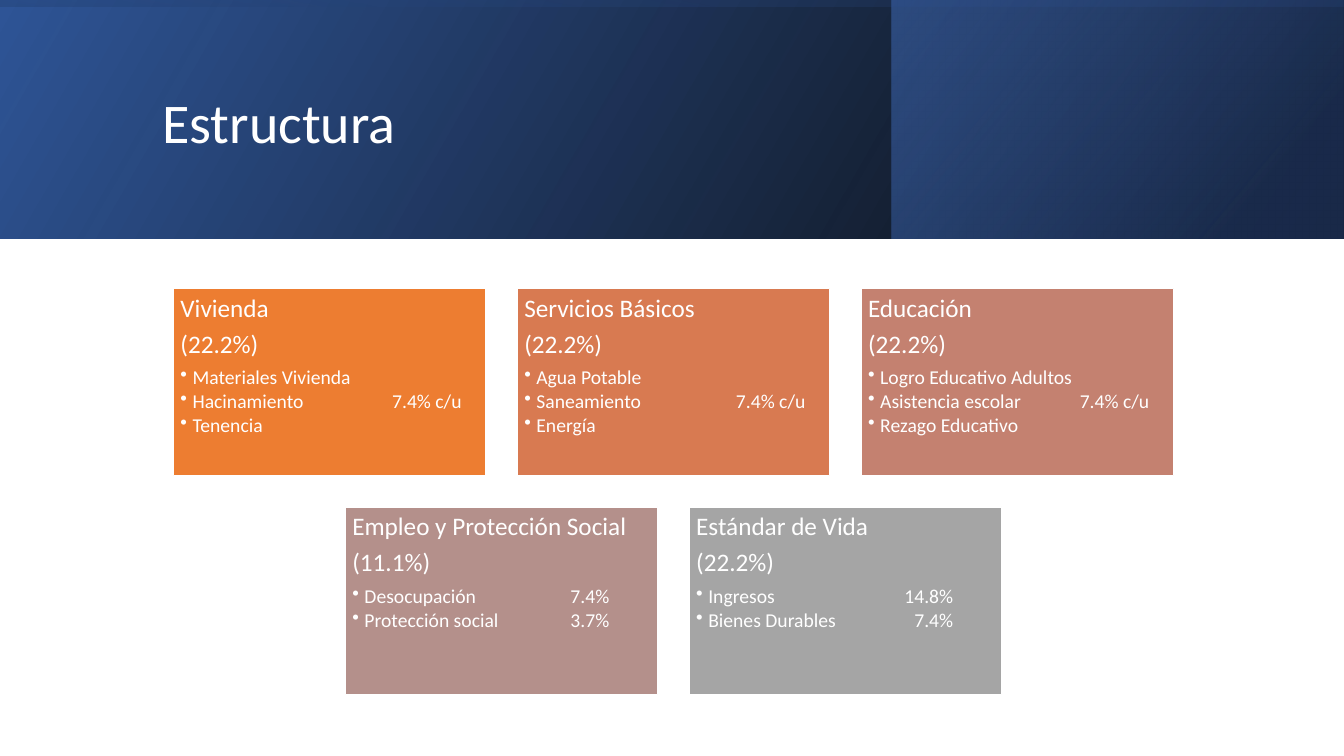
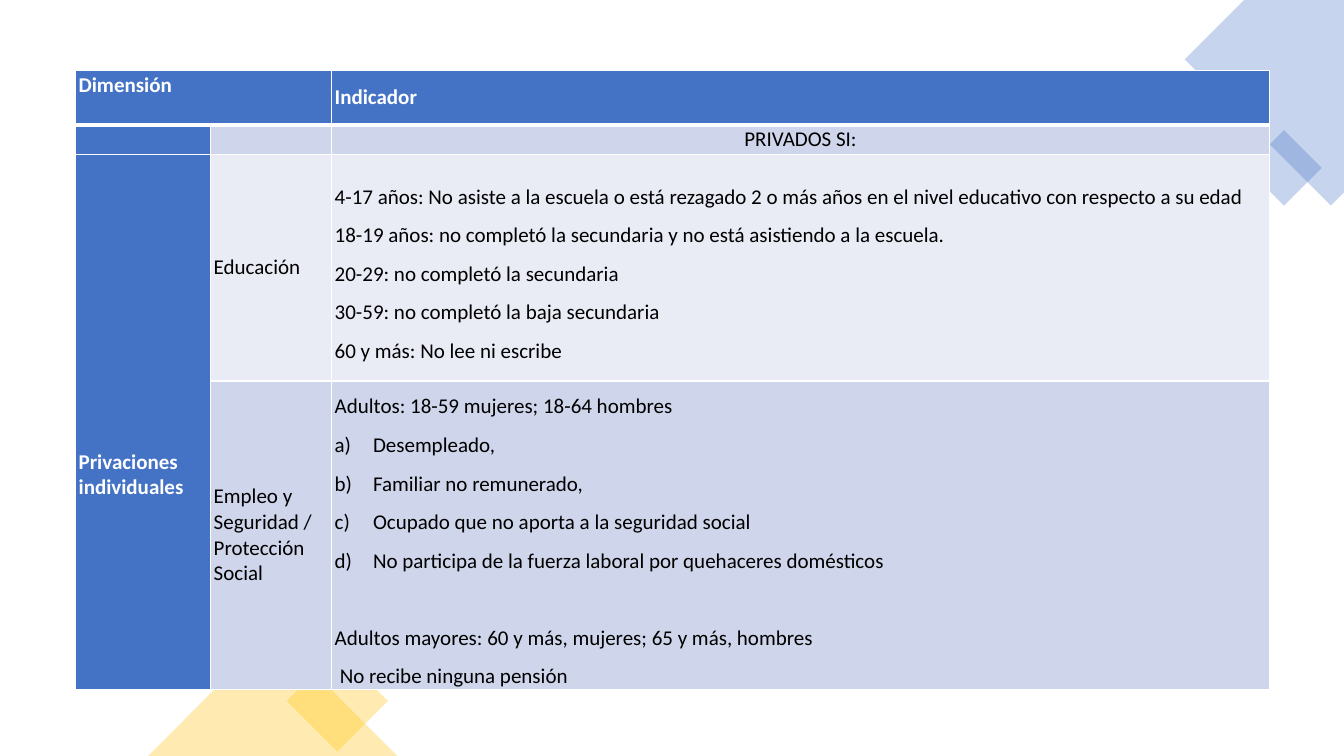
from lxml.etree import SubElement
from pptx import Presentation
from pptx.dml.color import RGBColor
from pptx.enum.shapes import MSO_SHAPE as Preset
from pptx.enum.text import MSO_ANCHOR as Anchor, MSO_AUTO_SIZE as AutoSize, PP_ALIGN as Align
from pptx.oxml.ns import qn
from pptx.util import Inches, Pt

# Shared style
FONT = "Calibri"
WHITE, BLACK = "FFFFFF", "000000"
BLUE, GOLD = "4472C4", "FFC000"
DEEP_BLUE, NAVY = "2F5597", "203864"
LIGHT, PALE = "CFD5EA", "E9EBF5"

# Slide 1: bands as (left, top, width, height, rotation, angle, stops);
# a stop is (position %, colour, opacity %)
BANDS = [
    (0, 0, 13.33, 2.37, 0, 330, [(0, BLACK, 96), (100, DEEP_BLUE, 100)]),
    (8.84, 0, 4.48, 2.37, 0, 320, [(19, NAVY, 68), (100, BLUE, 48)]),
    (5.48, -5.48, 2.37, 13.33, 270, 350, [(23, DEEP_BLUE, 16), (99, BLACK, 45)]),
]
TITLE = "Estructura"

# Cards as (colour, heading, share, right edge of the values, items)
CARD_ROWS = [
    [
        ("ED7D31", "Vivienda", "(22.2%)", 2.79,
         ["Materiales Vivienda", "Hacinamiento\t7.4% c/u", "Tenencia"]),
        ("D87A51", "Servicios Básicos", "(22.2%)", 2.79,
         ["Agua Potable", "Saneamiento\t7.4% c/u", "Energía"]),
        ("C48170", "Educación", "(22.2%)", 2.79,
         ["Logro Educativo Adultos", "Asistencia escolar\t7.4% c/u", "Rezago Educativo"]),
    ],
    [
        ("B4908B", "Empleo y Protección Social", "(11.1%)", 2.55,
         ["Desocupación\t7.4%", "Protección social\t3.7%"]),
        ("A5A5A5", "Estándar de Vida", "(22.2%)", 2.55,
         ["Ingresos\t14.8%", "Bienes Durables\t7.4%"]),
    ],
]
CARD_WIDTH, CARD_HEIGHT, CARD_GAP = 3.1, 1.86, 0.31
CARDS_CENTER, CARDS_TOP = 6.68, 2.86

# Slide 2: corner ornaments and table
CORNER = [(13.33, 0), (12.34, 0), (11.75, 0.59), (13.2, 2.04), (13.33, 1.91)]
ORNAMENTS = [
    (Preset.RECTANGLE, 12.47, 1.4, 0.53, 0.53, 315, BLUE),
    (Preset.RECTANGLE, 2.99, 6.6, 0.71, 0.71, 45, GOLD),
    (Preset.ISOSCELES_TRIANGLE, 1.47, 6.26, 2.47, 1.24, 0, GOLD),
]
COLUMNS = [1.34, 1.2, 9.3]
ROWS = [0.54, 0.29, 2.25, 3.01]
FILLS = [(BLUE, BLUE, BLUE), (BLUE, LIGHT, LIGHT), (BLUE, PALE, PALE), (BLUE, LIGHT, LIGHT)]
MERGES = [((0, 0), (0, 1)), ((2, 0), (3, 0))]
HEADS = {"color": WHITE, "bold": True}
OPEN = {"line": 1.5}
LETTERED = {"line": 1.5, "hanging": 0.38, "numbering": "alphaLcParenR"}
CELLS = {
    (0, 0): [("Dimensión", HEADS)],
    (0, 2): [("Indicador", HEADS)],
    (1, 2): [("PRIVADOS SI:", {"align": Align.CENTER})],
    (2, 0): [("Privaciones individuales", HEADS)],
    (2, 1): [("Educación", {})],
    (2, 2): [
        ("4-17 años: No asiste a la escuela o está rezagado 2 o más años "
         "en el nivel educativo con respecto a su edad", OPEN),
        ("18-19 años: no completó la secundaria y no está asistiendo a la escuela.", OPEN),
        ("20-29: no completó la secundaria", OPEN),
        ("30-59: no completó la baja secundaria", OPEN),
        ("60 y más: No lee ni escribe", OPEN),
    ],
    (3, 1): [("Empleo y Seguridad / Protección Social", {})],
    (3, 2): [
        ("Adultos: 18-59 mujeres; 18-64 hombres", OPEN),
        ("Desempleado,", LETTERED),
        ("Familiar no remunerado,", LETTERED),
        ("Ocupado que no aporta a la seguridad social", LETTERED),
        ("No participa de la fuerza laboral por quehaceres domésticos", LETTERED),
        ("Adultos mayores: 60 y más, mujeres; 65 y más, hombres", {"line": 1.5, "before": 27.5}),
        ("No recibe ninguna pensión", {"line": 1.5, "indent": 0.05}),
    ],
}
TOP_MARGINS = {(2, 0): 1.05}
BOTTOM_MARGINS = {(0, 0): 0.25}


def rgb(color):
    return RGBColor.from_string(color)


def child(parent, tag, **attributes):
    return SubElement(parent, qn(tag), attributes)


def write(frame, text, size=15, color=BLACK, bold=False, align=Align.LEFT, line=1.0,
          before=0, after=0, indent=0, hanging=0, bullet=None, numbering=None, tab=None):
    """Add one paragraph, using the first one while it is still empty."""
    first = frame.paragraphs[0]
    paragraph = frame.add_paragraph() if first.runs else first
    paragraph.alignment = align
    paragraph.line_spacing = line
    paragraph.space_before, paragraph.space_after = Pt(before), Pt(after)
    properties = paragraph._p.get_or_add_pPr()
    properties.set("marL", str(Inches(indent + hanging)))
    properties.set("indent", str(-Inches(hanging)))
    if bullet:
        child(properties, "a:buChar", char=bullet)
    elif numbering:
        child(properties, "a:buAutoNum", type=numbering)
    else:
        child(properties, "a:buNone")
    if tab:
        child(child(properties, "a:tabLst"), "a:tab", pos=str(Inches(tab)), algn="r")
    run = paragraph.add_run()
    run.text = text
    run.font.name, run.font.size, run.font.bold = FONT, Pt(size), bold
    run.font.color.rgb = rgb(color)


def set_margins(target, left, top, right, bottom):
    target.margin_left, target.margin_top = Inches(left), Inches(top)
    target.margin_right, target.margin_bottom = Inches(right), Inches(bottom)


def paint(shape, color, opacity=100):
    shape.shadow.inherit = False
    shape.line.fill.background()
    shape.fill.solid()
    shape.fill.fore_color.rgb = rgb(color)
    if opacity < 100:
        fill = shape.element.spPr.find(qn("a:solidFill"))
        child(fill[0], "a:alpha", val=str(opacity * 1000))


def add_preset(slide, preset, left, top, width, height, color, opacity=100, rotation=0):
    shape = slide.shapes.add_shape(
        preset, Inches(left), Inches(top), Inches(width), Inches(height))
    shape.rotation = rotation
    paint(shape, color, opacity)
    return shape


def add_band(slide, left, top, width, height, rotation, angle, stops):
    band = add_preset(slide, Preset.RECTANGLE, left, top, width, height, BLUE, rotation=rotation)
    properties = band.element.spPr
    properties.find(qn("a:xfrm")).set("flipH", "1")
    band.fill.gradient()
    gradient = properties.find(qn("a:gradFill"))
    for part in list(gradient):
        gradient.remove(part)
    stop_list = child(gradient, "a:gsLst")
    for position, color, opacity in stops:
        stop = child(stop_list, "a:gs", pos=str(position * 1000))
        child(child(stop, "a:srgbClr", val=color), "a:alpha", val=str(opacity * 1000))
    child(gradient, "a:lin", ang=str(angle * 60000), scaled="0")


def add_card(slide, left, top, color, heading, share, tab, items):
    card = add_preset(slide, Preset.RECTANGLE, left, top, CARD_WIDTH, CARD_HEIGHT, color)
    card.line.color.rgb = rgb(WHITE)
    card.line.width = Pt(1)
    frame = card.text_frame
    frame.word_wrap = True
    frame.vertical_anchor = Anchor.TOP
    set_margins(frame, 0.07, 0.07, 0.07, 0.07)
    for text in (heading, share):
        write(frame, text, size=18, color=WHITE, line=0.9, after=6.3)
    for text in items:
        write(frame, text, size=14, color=WHITE, line=0.9, after=2.1,
              hanging=0.12, bullet="•", tab=tab)


def add_borders(cell, row):
    widths = {"a:lnL": 1, "a:lnR": 1, "a:lnT": 3 if row == 1 else 1, "a:lnB": 3 if row == 0 else 1}
    properties = cell._tc.get_or_add_tcPr()
    for index, (tag, width) in enumerate(widths.items()):
        border = child(properties, tag, w=str(Pt(width)))
        child(child(border, "a:solidFill"), "a:srgbClr", val=WHITE)
        properties.insert(index, border)


def build_structure(presentation):
    slide = presentation.slides.add_slide(presentation.slide_layouts[5])
    for band in BANDS:
        add_band(slide, *band)

    # Title, in front of the bands
    title = slide.shapes.title
    title.left, title.top = Inches(1.51), Inches(0.38)
    title.width, title.height = Inches(10.63), Inches(1.72)
    title.text_frame.auto_size = AutoSize.NONE
    title.text_frame.vertical_anchor = Anchor.MIDDLE
    write(title.text_frame, TITLE, size=40, color=WHITE, line=0.9)
    slide.shapes.element.append(title.element)

    # Centred rows of cards
    for row, cards in enumerate(CARD_ROWS):
        row_width = len(cards) * (CARD_WIDTH + CARD_GAP) - CARD_GAP
        top = CARDS_TOP + row * (CARD_HEIGHT + CARD_GAP)
        for column, card in enumerate(cards):
            left = CARDS_CENTER - row_width / 2 + column * (CARD_WIDTH + CARD_GAP)
            add_card(slide, left, top, *card)


def build_deprivations(presentation):
    slide = presentation.slides.add_slide(presentation.slide_layouts[6])

    # Corner ornaments
    points = [(Inches(x), Inches(y)) for x, y in CORNER]
    builder = slide.shapes.build_freeform(*points[0])
    builder.add_line_segments(points[1:], close=True)
    paint(builder.convert_to_shape(), BLUE, 30)
    for preset, left, top, width, height, rotation, color in ORNAMENTS:
        add_preset(slide, preset, left, top, width, height, color, 30, rotation)

    # Table
    table = slide.shapes.add_table(
        len(ROWS), len(COLUMNS), Inches(0.75), Inches(0.7),
        Inches(sum(COLUMNS)), Inches(sum(ROWS))).table
    table.first_row = table.horz_banding = False
    for column, width in enumerate(COLUMNS):
        table.columns[column].width = Inches(width)
    for row, height in enumerate(ROWS):
        table.rows[row].height = Inches(height)
    for start, end in MERGES:
        table.cell(*start).merge(table.cell(*end))
    for row, colors in enumerate(FILLS):
        for column, color in enumerate(colors):
            place = (row, column)
            cell = table.cell(row, column)
            cell.fill.solid()
            cell.fill.fore_color.rgb = rgb(color)
            cell.vertical_anchor = Anchor.MIDDLE
            set_margins(cell, 0.03, TOP_MARGINS.get(place, 0), 0.03, BOTTOM_MARGINS.get(place, 0))
            add_borders(cell, row)
            for text, style in CELLS.get(place, []):
                write(cell.text_frame, text, **style)
            if place not in CELLS:
                child(cell.text_frame.paragraphs[0]._p, "a:endParaRPr", sz="1500")


presentation = Presentation()
presentation.slide_width, presentation.slide_height = Inches(13.33), Inches(7.5)
build_structure(presentation)
build_deprivations(presentation)
presentation.save("out.pptx")
